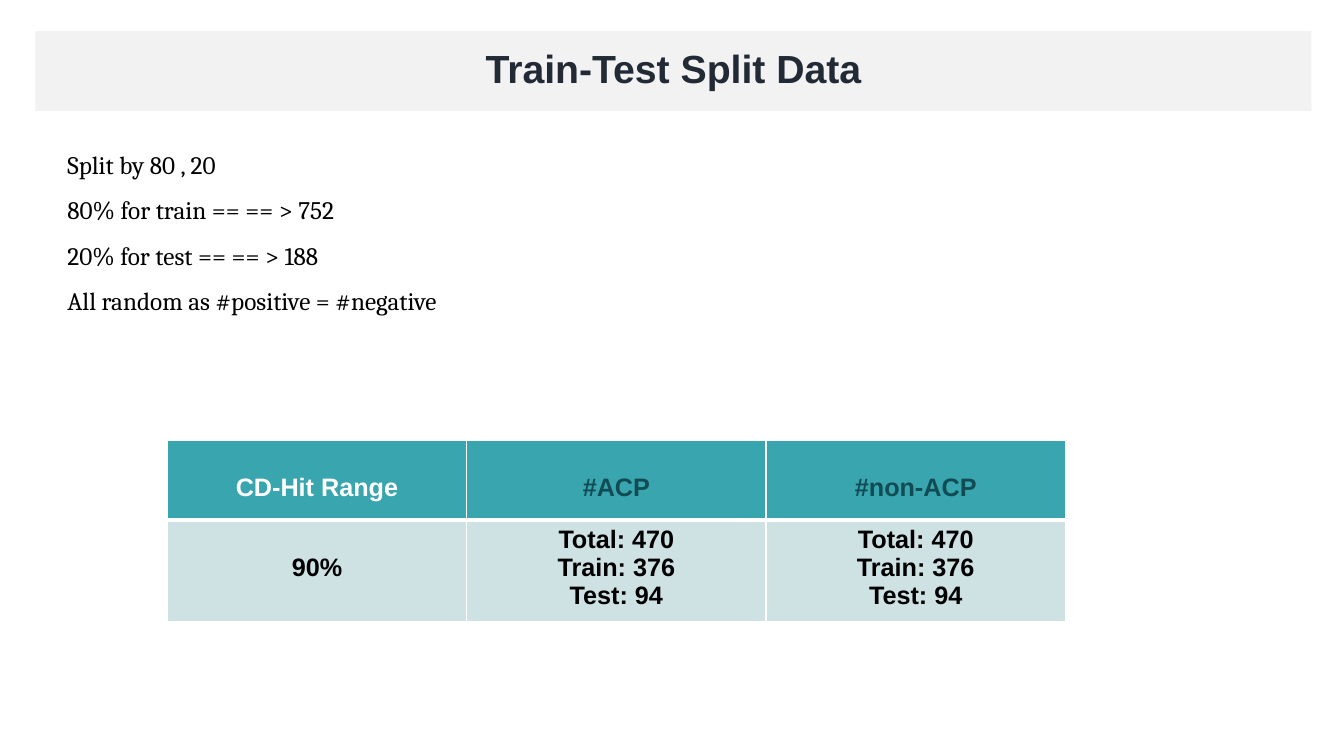
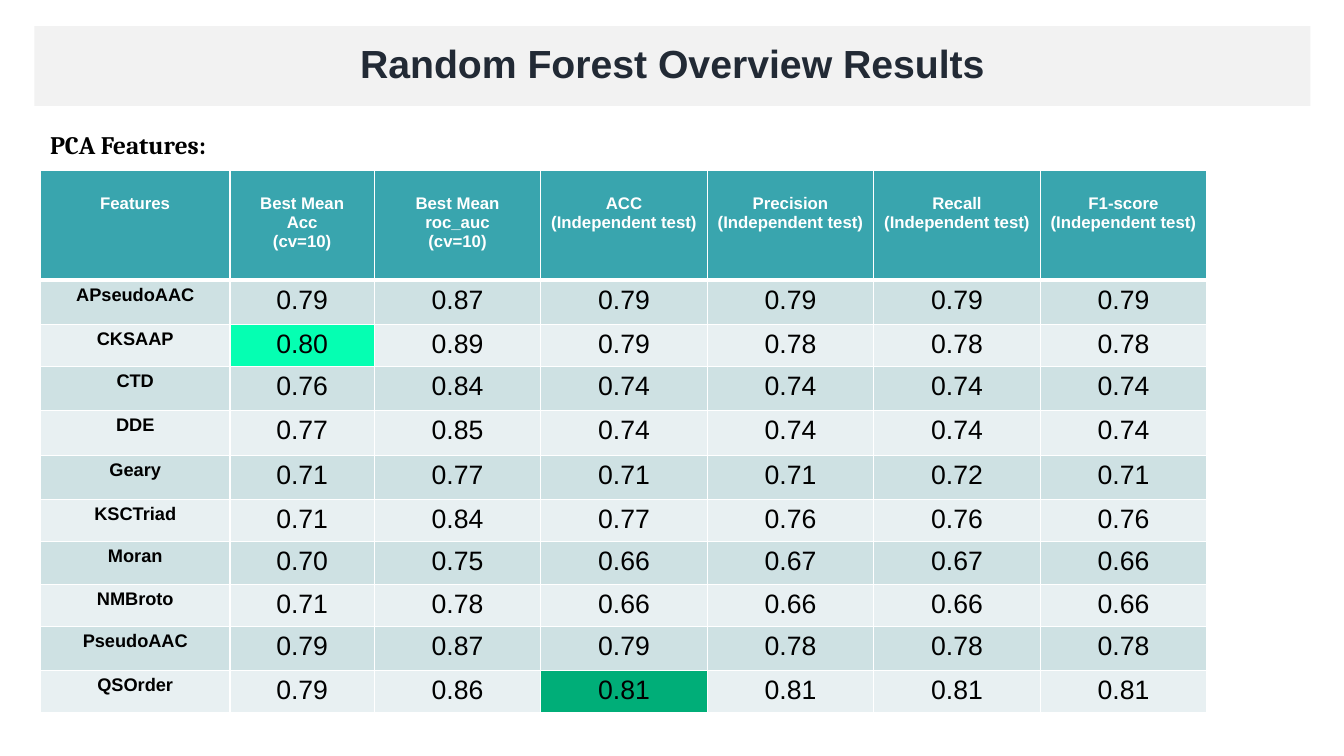
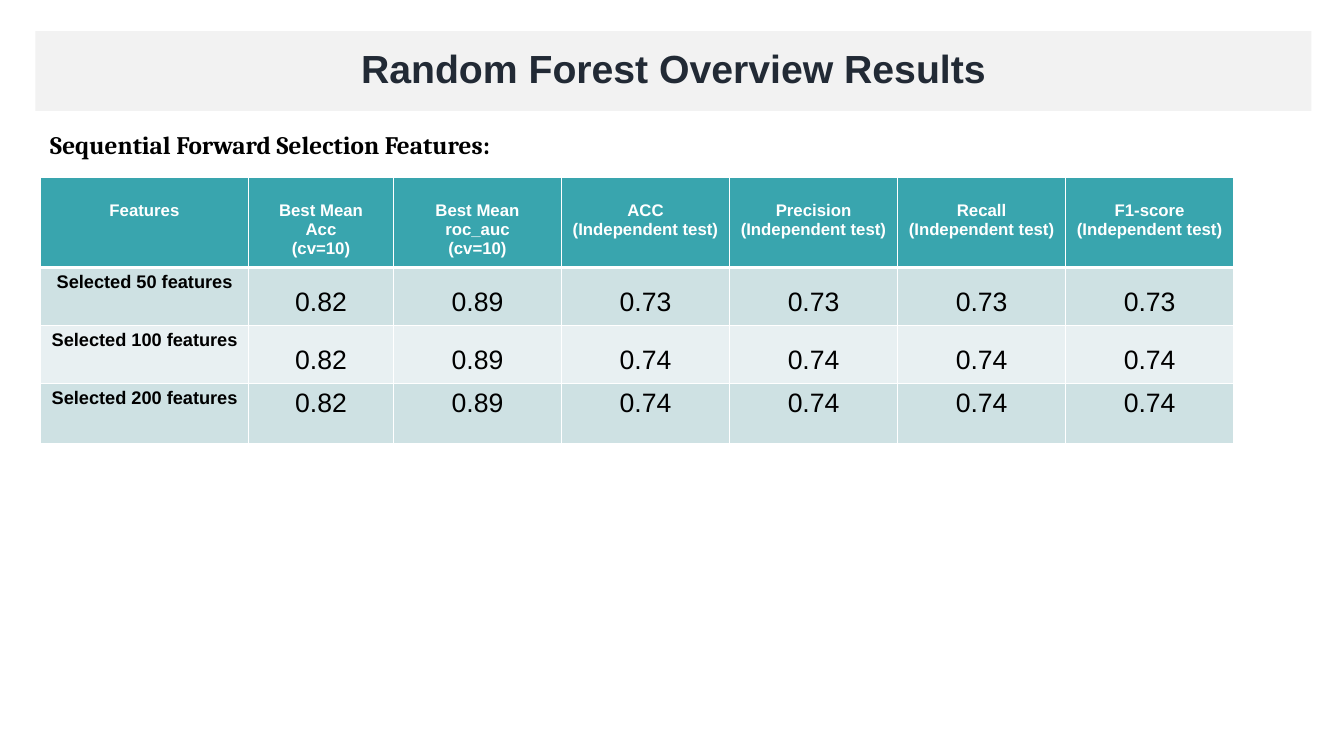
from dataclasses import dataclass
from lxml.etree import SubElement
from pptx import Presentation
from pptx.dml.color import RGBColor as RGB
from pptx.enum.text import MSO_ANCHOR as Anchor, MSO_AUTO_SIZE as Fit, PP_ALIGN as Align
from pptx.oxml import parse_xml
from pptx.oxml.ns import nsdecls, qn
from pptx.util import Inches, Pt


@dataclass(frozen=True)
class Theme:
    sans: str = "Arial"
    serif: str = "Cambria"
    black: str = "000000"
    white: str = "FFFFFF"
    ink: str = "222A35"
    band: str = "F2F2F2"
    teal: str = "39A5AE"
    deep: str = "114B53"
    odd: str = "CEE1E3"
    even: str = "E8F0F2"
    mint: str = "05FFB2"
    green: str = "00AE78"
    title: int = 28
    body: int = 18
    value: int = 19
    label: int = 13
    head: int = 12
    thin: int = 1
    thick: int = 3


T = Theme()
WIDE, HIGH = Inches(13.33), Inches(7.5)
HIGHER = (2.55, 3.47, 94.95, 10.53)
LOWER = (2.63, 4.13, 94.95, 10.53)
LABEL = (3, 16.4, 82.58, 5.33)
TEST = "(Independent test)"
HEADS = [
    ["Features"],
    ["Best Mean", "Acc", "(cv=10)"],
    ["Best Mean", "roc_auc", "(cv=10)"],
    *[[name, TEST] for name in ("ACC", "Precision", "Recall", "F1-score")],
]
PCA = [
    ("APseudoAAC", "0.79 0.87 0.79 0.79 0.79 0.79"),
    ("CKSAAP", "0.80 0.89 0.79 0.78 0.78 0.78"),
    ("CTD", "0.76 0.84 0.74 0.74 0.74 0.74"),
    ("DDE", "0.77 0.85 0.74 0.74 0.74 0.74"),
    ("Geary", "0.71 0.77 0.71 0.71 0.72 0.71"),
    ("KSCTriad", "0.71 0.84 0.77 0.76 0.76 0.76"),
    ("Moran", "0.70 0.75 0.66 0.67 0.67 0.66"),
    ("NMBroto", "0.71 0.78 0.66 0.66 0.66 0.66"),
    ("PseudoAAC", "0.79 0.87 0.79 0.78 0.78 0.78"),
    ("QSOrder", "0.79 0.86 0.81 0.81 0.81 0.81"),
]
FORWARD = [
    ("Selected 50 features", "0.82 0.89 0.73 0.73 0.73 0.73"),
    ("Selected 100 features", "0.82 0.89 0.74 0.74 0.74 0.74"),
    ("Selected 200 features", "0.82 0.89 0.74 0.74 0.74 0.74"),
]


def place(box):
    left, top, wide, high = box
    return (int(WIDE * left / 100), int(HIGH * top / 100),
            int(WIDE * wide / 100), int(HIGH * high / 100))


def write(frame, lines, size, color, face=T.sans, bold=True,
          align=Align.CENTER, space=1.0):
    for i, line in enumerate(lines):
        para = frame.paragraphs[0] if i == 0 else frame.add_paragraph()
        para.alignment = align
        para.line_spacing = space
        run = para.add_run()
        run.text = line
        font = run.font
        font.name, font.size, font.bold = face, Pt(size), bold
        font.color.rgb = RGB.from_string(color)


def begin(deck, text, box):
    slide = deck.slides.add_slide(deck.slide_layouts[5])
    title = slide.shapes.title
    title.left, title.top, title.width, title.height = place(box)
    title.fill.solid()
    title.fill.fore_color.rgb = RGB.from_string(T.band)
    frame = title.text_frame
    frame.word_wrap = True
    frame.auto_size = Fit.NONE
    frame.vertical_anchor = Anchor.MIDDLE
    write(frame, [text], T.title, T.ink, space=0.9)
    frame.paragraphs[0].space_before = Pt(10)
    return slide


def note(slide, box, lines, **style):
    frame = slide.shapes.add_textbox(*place(box)).text_frame
    frame.word_wrap = True
    write(frame, lines, T.body, T.black, face=T.serif, **style)


def edge(cell, row):
    props = cell._tc.get_or_add_tcPr()
    sides = {"L": T.thin, "R": T.thin,
             "T": T.thick if row == 1 else T.thin,
             "B": T.thick if row == 0 else T.thin}
    for i, (side, width) in enumerate(sides.items()):
        line = parse_xml(f'<a:ln{side} {nsdecls("a")} w="{Pt(width)}"/>')
        fill = SubElement(line, qn("a:solidFill"))
        SubElement(fill, qn("a:srgbClr")).set("val", T.white)
        props.insert(i, line)


def grid(slide, box, cols, rows):
    left, top, wide, high = place(box)
    table = slide.shapes.add_table(len(rows), len(cols), left, top, wide, high).table
    table.horz_banding = False
    for col, part in zip(table.columns, cols):
        col.width = int(wide * part / sum(cols))
    for row, part in zip(table.rows, rows):
        row.height = int(high * part / sum(rows))
    return table


def put(table, row, col, lines, size, color, fill=None, drop=0.05, **style):
    cell = table.cell(row, col)
    cell.fill.solid()
    shade = fill or (T.teal if row == 0 else T.odd if row % 2 else T.even)
    cell.fill.fore_color.rgb = RGB.from_string(shade)
    cell.margin_left = cell.margin_right = Inches(0.08)
    cell.margin_top = Inches(drop)
    edge(cell, row)
    write(cell.text_frame, lines, size, color, **style)


def split(slide, box):
    table = grid(slide, box, [1, 1, 1], [79, 101])
    inks = [T.white, T.deep, T.deep]
    for col, name in enumerate(["CD-Hit Range", "#ACP", "#non-ACP"]):
        put(table, 0, col, [name], T.body, inks[col], drop=0.33)
    put(table, 1, 0, ["90%"], T.body, T.black, drop=0.33)
    for col in (1, 2):
        put(table, 1, col, ["Total: 470", "Train: 376", "Test: 94"], T.body, T.black)


def scores(slide, box, cols, rows, data, marks=None, loose=()):
    table = grid(slide, box, cols, rows)
    for col, lines in enumerate(HEADS):
        put(table, 0, col, lines, T.head, T.white, drop=0.24)
    for row, (name, values) in enumerate(data, 1):
        put(table, row, 0, [name], T.label, T.black)
        for col, value in enumerate(values.split(), 1):
            put(table, row, col, [value], T.value, T.black,
                fill=(marks or {}).get((row, col)), bold=False,
                space=1.5 if row in loose else 1.0)


def main():
    deck = Presentation()
    deck.slide_width, deck.slide_height = WIDE, HIGH

    slide = begin(deck, "Train-Test Split Data", LOWER)
    note(slide, (4.28, 17.07, 45.68, 24.8),
         ["Split by 80 , 20", "80% for train == == > 752",
          "20% for test == == > 188", "All random as #positive = #negative"],
         bold=False, align=Align.LEFT, space=1.5)
    split(slide, (12.45, 58.27, 66.83, 24))

    slide = begin(deck, "Random Forest Overview Results", HIGHER)
    note(slide, LABEL, ["PCA Features:"], align=Align.JUSTIFY)
    scores(slide, (3, 22.53, 86.8, 71.7), [188, 143] + [165] * 5,
           [110, 44, 42, 44, 45, 44, 42, 43, 42, 44, 42], PCA,
           marks={(2, 1): T.mint, (10, 3): T.green})

    slide = begin(deck, "Random Forest Overview Results", LOWER)
    note(slide, LABEL, ["Sequential Forward Selection Features:"], align=Align.JUSTIFY)
    scores(slide, (3, 23.47, 88.8, 35.2), [207, 144] + [167] * 5,
           [90, 58, 58, 60], FORWARD, loose=(1, 2))

    deck.save("out.pptx")


if __name__ == "__main__":
    main()
